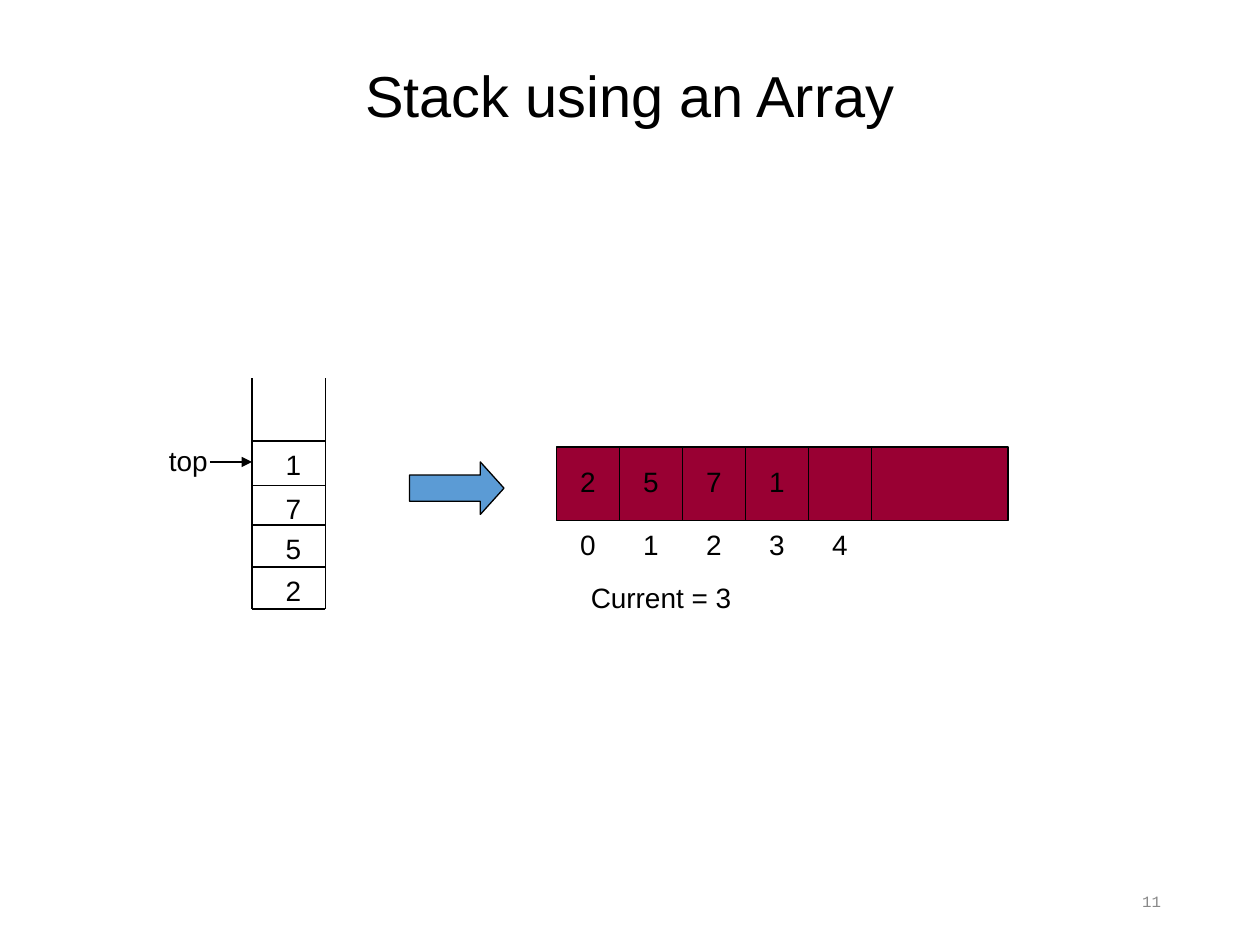
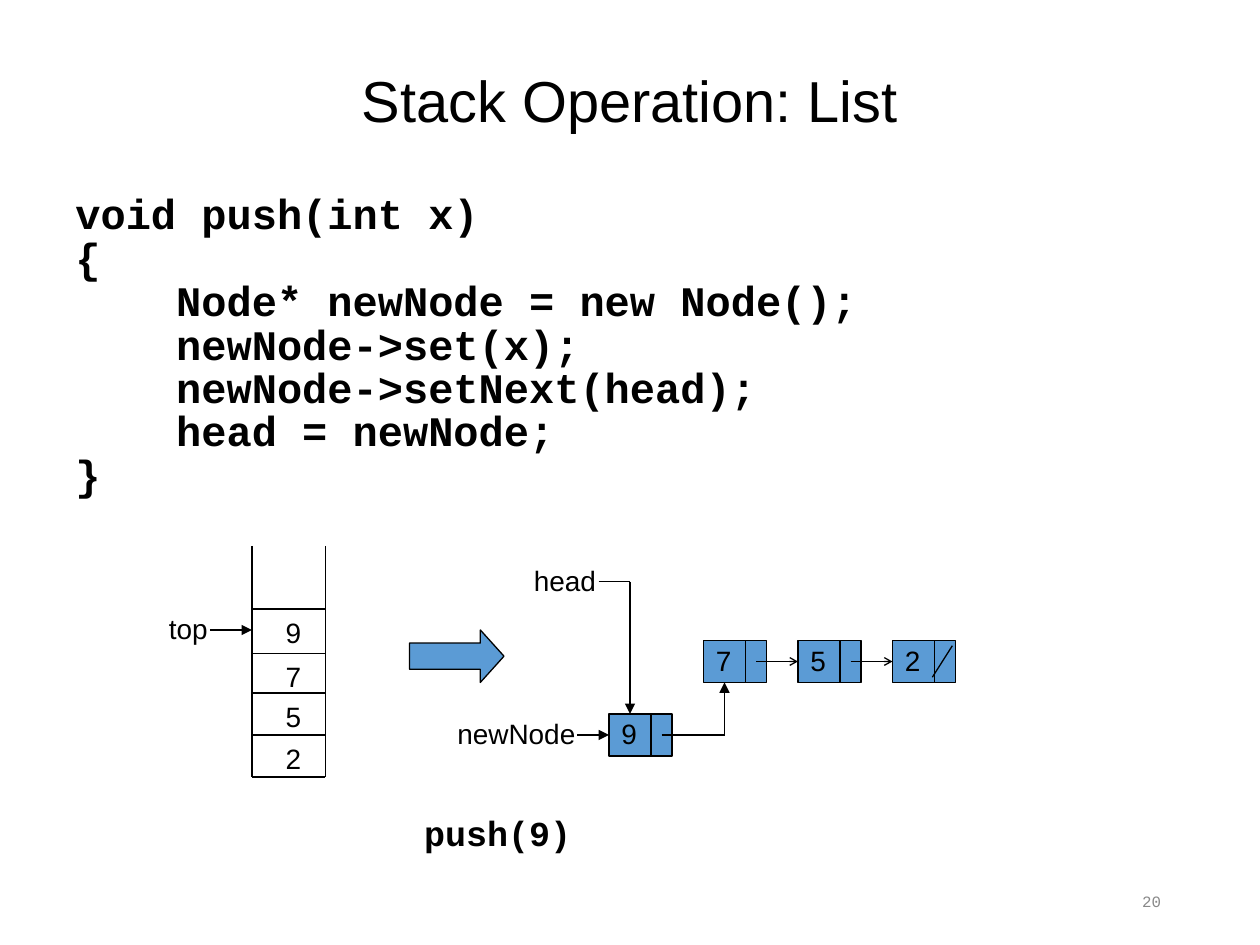
from dataclasses import dataclass

from lxml.etree import SubElement
from pptx import Presentation
from pptx.dml.color import RGBColor
from pptx.enum.shapes import MSO_CONNECTOR, MSO_SHAPE
from pptx.enum.text import MSO_ANCHOR, MSO_AUTO_SIZE, PP_ALIGN
from pptx.oxml.ns import qn
from pptx.util import Inches, Pt


@dataclass(frozen=True)
class Theme:
    sans: str = "Arial"
    mono: str = "Courier New"
    ink: str = "000000"
    muted: str = "898989"
    blue: str = "5B9BD5"
    crimson: str = "990033"
    title_size: int = 33
    code_size: int = 24
    call_size: int = 20
    label_size: int = 16
    number_size: int = 9
    line_width: float = 0.74


THEME = Theme()

# Diagram lengths count grid units of a twelfth of an inch.
UNITS_PER_INCH = 12
PAGE_WIDTH, PAGE_HEIGHT = 120, 90
LABEL_HEIGHT, LABEL_RISE, DIGIT_WIDTH = 4.4, 2.35, 3.84
HEAD_SIZES = {"triangle": "med", "arrow": "sm"}

ARRAY_SLIDE = {
    "title": "Stack using an Array",
    "title_height": 9.24,
    "number": "11",
    "rim": 36,
    "stack": ["1", "7", "5", "2"],
    "array": ["2", "5", "7", "1"],
    "indexes": ["0", "1", "2", "3", "4"],
    "current": "Current = 3",
}
LIST_SLIDE = {
    "title": "Stack Operation: List",
    "title_height": 10.2,
    "number": "20",
    "rim": 52,
    "stack": ["9", "7", "5", "2"],
    "code": [
        "void push(int x)",
        "{",
        "    Node* newNode = new Node();",
        "    newNode->set(x);",
        "    newNode->setNext(head);",
        "    head = newNode;",
        "}",
    ],
    "new_value": "9",
    "chain": ["7", "5", "2"],
    "call": "push(9)",
}

STACK_LEFT, STACK_RIGHT = 24, 31
STACK_LEVELS = [6, 10.25, 14, 18, 22]  # below the rim; the last is the floor
ARRAY_LEFT, ARRAY_TOP, ARRAY_WIDTH, ARRAY_HEIGHT, ARRAY_CELL = 53, 42.57, 43, 7, 6
NODE_WIDTH, NODE_HEIGHT, NODE_DIVIDER, NODE_PITCH = 6, 4, 4, 9
NEW_LEFT, NEW_TOP = 58, 68
CHAIN_LEFT, CHAIN_TOP = 67, 61


def units(value):
    return Inches(value / UNITS_PER_INCH)


def color(value):
    return RGBColor.from_string(value)


def style(para, size, font=THEME.sans, ink=THEME.ink, bold=False, align=PP_ALIGN.CENTER):
    para.alignment = align
    para.font.size = Pt(size)
    para.font.name = font
    para.font.bold = bold
    para.font.color.rgb = color(ink)


def add_box(page, left, top, width, height, wrap=True):
    box = page.shapes.add_textbox(*map(units, (left, top, width, height)))
    box.text_frame.word_wrap = wrap
    return box.text_frame


def add_label(page, text, center, middle, width=DIGIT_WIDTH):
    """Centre a one-line label on a point of the grid."""
    frame = add_box(page, center - width / 2, middle - LABEL_RISE,
                    width, LABEL_HEIGHT, wrap=False)
    frame.text = text
    style(frame.paragraphs[0], THEME.label_size)


def add_line(page, start, end, head=None):
    line = page.shapes.add_connector(
        MSO_CONNECTOR.STRAIGHT, *map(units, (*start, *end)))
    line.line.color.rgb = color(THEME.ink)
    line.line.width = Pt(THEME.line_width)
    if head:
        size = HEAD_SIZES[head]
        SubElement(line.line._get_or_add_ln(), qn("a:tailEnd"),
                   type=head, w=size, len=size)
    SubElement(line._element.spPr, qn("a:effectLst"))


def add_figure(page, kind, left, top, width, height, fill):
    shape = page.shapes.add_shape(kind, *map(units, (left, top, width, height)))
    shape.shadow.inherit = False
    shape.fill.solid()
    shape.fill.fore_color.rgb = color(fill)
    shape.line.color.rgb = color(THEME.ink)
    shape.line.width = Pt(THEME.line_width)
    return shape


def add_page(deck, content):
    """Add a slide with its title and page number."""
    page = deck.slides.add_slide(deck.slide_layouts[5])
    title = page.shapes.title
    title.left, title.top = units(6), units(4.8)
    title.width, title.height = units(PAGE_WIDTH - 12), units(content["title_height"])
    frame = title.text_frame
    frame.text = content["title"]
    frame.auto_size = MSO_AUTO_SIZE.NONE
    frame.vertical_anchor = MSO_ANCHOR.MIDDLE
    frame.paragraphs[0].line_spacing = 0.9
    style(frame.paragraphs[0], THEME.title_size)

    frame = add_box(page, 84.75, 83.4, 27, 4.8)
    frame.text = content["number"]
    frame.vertical_anchor = MSO_ANCHOR.MIDDLE
    style(frame.paragraphs[0], THEME.number_size, THEME.mono, THEME.muted,
          align=PP_ALIGN.RIGHT)
    return page


def add_stack(page, rim, values):
    """Draw the open-topped stack, its top pointer and the block arrow."""
    levels = [rim + level for level in STACK_LEVELS]
    for wall in (STACK_LEFT, STACK_RIGHT):
        add_line(page, (wall, rim), (wall, levels[-1]))
    for level in levels:
        add_line(page, (STACK_LEFT, level), (STACK_RIGHT, level))
    for value, level in zip(values, levels):
        add_label(page, value, 27.95, level + LABEL_RISE)
    pointer = rim + 8
    add_label(page, "top", 17.93, pointer, width=6.1)
    add_line(page, (20, pointer), (STACK_LEFT, pointer), "triangle")
    arrow = add_figure(page, MSO_SHAPE.RIGHT_ARROW, 39, pointer, 9, 5, THEME.blue)
    arrow.adjustments[1] = 0.45


def add_array(page, values, indexes):
    add_figure(page, MSO_SHAPE.RECTANGLE, ARRAY_LEFT, ARRAY_TOP,
               ARRAY_WIDTH, ARRAY_HEIGHT, THEME.crimson)
    bottom = ARRAY_TOP + ARRAY_HEIGHT
    for column in range(1, len(indexes) + 1):
        edge = ARRAY_LEFT + column * ARRAY_CELL
        add_line(page, (edge, ARRAY_TOP), (edge, bottom))
    for texts, middle in ((values, 46), (indexes, 52)):
        for column, text in enumerate(texts):
            add_label(page, text, ARRAY_LEFT + (column + 0.5) * ARRAY_CELL, middle)


def add_node(page, value, left, top):
    add_figure(page, MSO_SHAPE.RECTANGLE, left, top, NODE_WIDTH, NODE_HEIGHT, THEME.blue)
    divider = left + NODE_DIVIDER
    add_line(page, (divider, top), (divider, top + NODE_HEIGHT))
    add_label(page, value, left + DIGIT_WIDTH / 2, top + NODE_HEIGHT / 2)


def add_chain(page, values):
    """Draw the linked nodes, ending in a null slash."""
    middle = CHAIN_TOP + NODE_HEIGHT / 2
    for position, value in enumerate(values):
        left = CHAIN_LEFT + position * NODE_PITCH
        add_node(page, value, left, CHAIN_TOP)
        if position < len(values) - 1:
            add_line(page, (left + 5, middle), (left + NODE_PITCH, middle), "arrow")
        else:
            add_line(page, (left + 5.7, CHAIN_TOP + 0.5), (left + 3.8, CHAIN_TOP + 3.5))


def add_new_node(page, value):
    """Draw the pushed node with the head, newNode and next pointers."""
    add_node(page, value, NEW_LEFT, NEW_TOP)
    middle = NEW_TOP + NODE_HEIGHT / 2
    head_x, head_y = NEW_LEFT + 2, 55.4
    add_label(page, "head", 53.8, head_y, width=8.3)
    add_line(page, (57, head_y), (head_x, head_y))
    add_line(page, (head_x, head_y), (head_x, NEW_TOP), "triangle")
    add_label(page, "newNode", 49.18, middle, width=13.6)
    add_line(page, (55, middle), (NEW_LEFT, middle), "triangle")
    next_x = CHAIN_LEFT + 2
    add_line(page, (NEW_LEFT + 5, middle), (next_x, middle))
    add_line(page, (next_x, middle), (next_x, CHAIN_TOP + NODE_HEIGHT), "triangle")


def add_code(page, lines):
    frame = add_box(page, 6, 19, PAGE_WIDTH - 12, 31)
    for position, line in enumerate(lines):
        para = frame.add_paragraph() if position else frame.paragraphs[0]
        para.text = line
        para.line_spacing = 0.6
        para.space_before = Pt(7.5 if position else 0)
        style(para, THEME.code_size, THEME.mono, bold=True, align=PP_ALIGN.LEFT)


def build_array_slide(deck, content):
    page = add_page(deck, content)
    add_stack(page, content["rim"], content["stack"])
    add_array(page, content["array"], content["indexes"])
    add_label(page, content["current"], 62.95, 57, width=16.5)


def build_list_slide(deck, content):
    page = add_page(deck, content)
    add_code(page, content["code"])
    add_stack(page, content["rim"], content["stack"])
    add_chain(page, content["chain"])
    add_new_node(page, content["new_value"])
    frame = add_box(page, 39.2, 76.7, 16.4, 5.3, wrap=False)
    frame.text = content["call"]
    style(frame.paragraphs[0], THEME.call_size, THEME.mono, bold=True)


def main():
    deck = Presentation()
    deck.slide_width, deck.slide_height = units(PAGE_WIDTH), units(PAGE_HEIGHT)
    build_array_slide(deck, ARRAY_SLIDE)
    build_list_slide(deck, LIST_SLIDE)
    deck.save("out.pptx")


if __name__ == "__main__":
    main()
